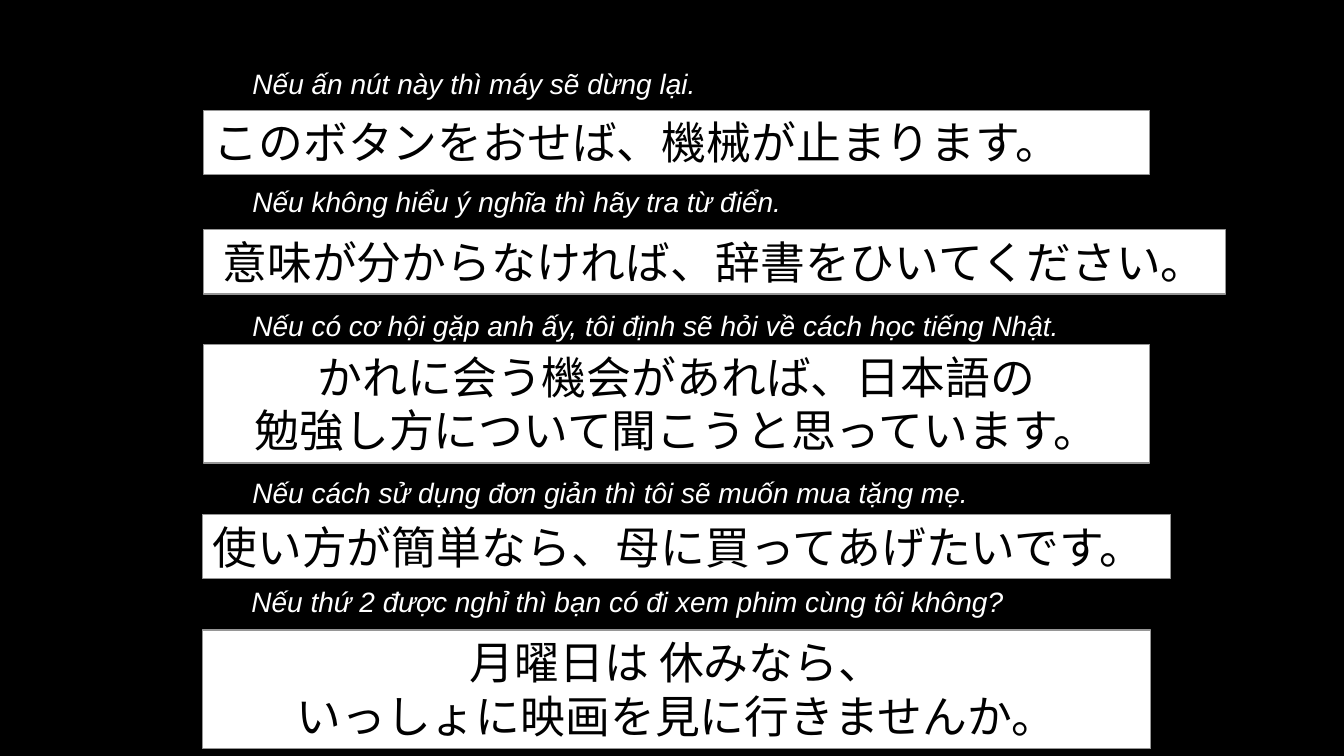
from pptx import Presentation
from pptx.dml.color import RGBColor
from pptx.enum.shapes import MSO_SHAPE
from pptx.enum.text import MSO_ANCHOR, MSO_AUTO_SIZE, PP_ALIGN
from pptx.util import Pt

RECT = MSO_SHAPE.RECTANGLE
TOP = MSO_ANCHOR.TOP
GROW = MSO_AUTO_SIZE.SHAPE_TO_FIT_TEXT
LEFT, MID = PP_ALIGN.LEFT, PP_ALIGN.CENTER
BLACK = RGBColor(0x00, 0x00, 0x00)
WHITE = RGBColor(0xFF, 0xFF, 0xFF)
GRAY = RGBColor(0x96, 0x96, 0x96)
SCALE = 9525
WIDE, HIGH = 1280, 720
NOTE_H = 42
ONE_H, TWO_H = 61, 113
FRAME = {"word_wrap": True, "auto_size": GROW, "vertical_anchor": TOP}
NOTE = {"name": "Arial", "size": Pt(20), "italic": True}
LINE = {"name": "Lato", "size": Pt(32)}

ROWS = [
    ((231, 59, 592), "Nếu ấn nút này thì máy sẽ dừng lại.",
     (194, 105, 901), LEFT, ["このボタンをおせば、機械が止まります。"]),
    ((231, 171, 703), "Nếu không hiểu ý nghĩa thì hãy tra từ điển.",
     (194, 219, 973), MID, ["意味が分からなければ、辞書をひいてください。"]),
    ((231, 289, 903), "Nếu có cơ hội gặp anh ấy, tôi định sẽ hỏi về cách học tiếng Nhật.",
     (194, 328, 901), MID, ["かれに会う機会があれば、日本語の", "勉強し方について聞こうと思っています。"]),
    ((231, 448, 903), "Nếu cách sử dụng đơn giản thì tôi sẽ muốn mua tặng mẹ.",
     (193, 490, 922), LEFT, ["使い方が簡単なら、母に買ってあげたいです。"]),
    ((230, 552, 903), "Nếu thứ 2 được nghỉ thì bạn có đi xem phim cùng tôi không?",
     (193, 600, 903), MID, ["月曜日は 休みなら、", "いっしょに映画を見に行きませんか。"]),
]


class Deck:
    """Hold the style and the current slide, and draw each kind of element."""

    def __init__(self):
        self.prs = Presentation()
        self.prs.slide_width, self.prs.slide_height = self.emu(WIDE, HIGH)
        self.slide = self.prs.slides.add_slide(self.prs.slide_layouts[6])
        fill = self.slide.background.fill
        fill.solid()
        fill.fore_color.rgb = BLACK

    def emu(self, *sizes):
        return [size * SCALE for size in sizes]

    def label(self, shape, lines, style, color, align):
        frame = shape.text_frame
        for key, value in FRAME.items():
            setattr(frame, key, value)
        para = frame.paragraphs[0]
        para.alignment = align
        for i, line in enumerate(lines):
            if i:
                para.add_line_break()
            run = para.add_run()
            run.text = line
            for key, value in style.items():
                setattr(run.font, key, value)
            run.font.color.rgb = color

    def note(self, place, text):
        shape = self.slide.shapes.add_textbox(*self.emu(*place, NOTE_H))
        self.label(shape, [text], NOTE, WHITE, LEFT)

    def box(self, place, lines, align):
        high = TWO_H if len(lines) > 1 else ONE_H
        shape = self.slide.shapes.add_shape(RECT, *self.emu(*place, high))
        shape.shadow.inherit = False
        shape.fill.solid()
        shape.fill.fore_color.rgb = WHITE
        shape.line.color.rgb = GRAY
        shape.line.width = Pt(0.85)
        self.label(shape, lines, LINE, BLACK, align)


def main():
    deck = Deck()
    for spot, text, place, align, lines in ROWS:
        deck.note(spot, text)
        deck.box(place, lines, align)
    deck.prs.save("out.pptx")


if __name__ == "__main__":
    main()
